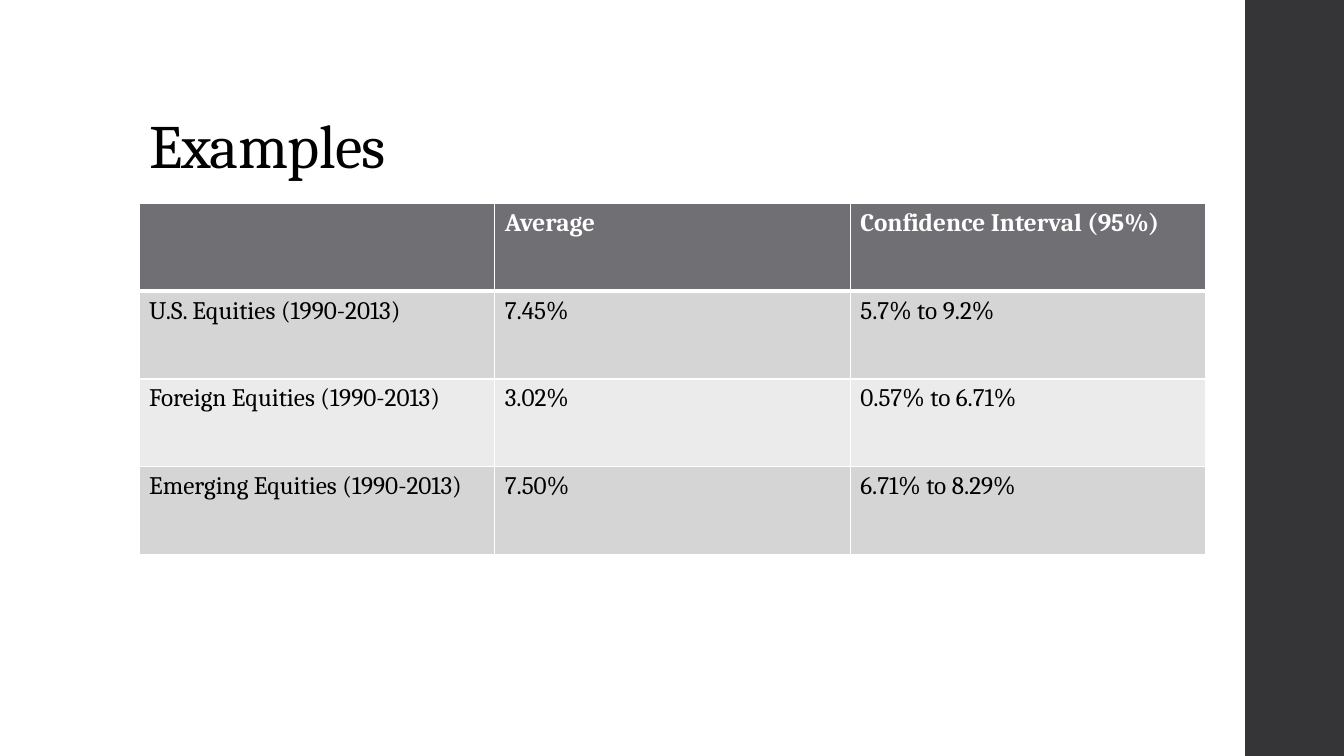
from dataclasses import dataclass

from lxml.etree import SubElement
from pptx import Presentation
from pptx.dml.color import RGBColor
from pptx.enum.shapes import MSO_SHAPE
from pptx.enum.text import MSO_ANCHOR, MSO_AUTO_SIZE, PP_ALIGN
from pptx.oxml.ns import qn
from pptx.util import Inches, Pt


@dataclass(frozen=True)
class Theme:
    font: str = "Cambria"
    ink: str = "000000"
    paper: str = "FFFFFF"
    band: str = "353537"
    header: str = "6F6F74"
    stripes: tuple = ("D5D5D6", "EBEBEB")
    title_size: float = 44
    table_size: float = 18
    rule: float = 1
    header_rule: float = 3


THEME = Theme()
PAGE_WIDTH, PAGE_HEIGHT = 13.33, 7.5
LEFT = 1.38
BAND_LEFT = 12.35
TABLE_TOP, TABLE_WIDTH = 2.02, 10.58
ROW_HEIGHT = 0.87
ROWS = [
    ("", "Average", "Confidence Interval (95%)"),
    ("U.S. Equities (1990-2013)", "7.45%", "5.7% to 9.2%"),
    ("Foreign Equities (1990-2013)", "3.02%", "0.57% to 6.71%"),
    ("Emerging Equities (1990-2013)", "7.50%", "6.71% to 8.29%"),
]


def paint(fill, color):
    fill.solid()
    fill.fore_color.rgb = RGBColor.from_string(color)


def write(frame, text, *, size, color, bold=False, line_spacing=None, tracking=None):
    para = frame.paragraphs[0]
    para.alignment = PP_ALIGN.LEFT
    if line_spacing:
        para.line_spacing = line_spacing
    span = para.add_run()
    span.text = text
    span.font.name = THEME.font
    span.font.size = Pt(size)
    span.font.bold = bold
    span.font.color.rgb = RGBColor.from_string(color)
    if tracking:
        span.font._element.set("spc", str(int(tracking * 100)))


def add_side_band(page):
    band = page.shapes.add_shape(
        MSO_SHAPE.RECTANGLE, Inches(BAND_LEFT), 0,
        Inches(PAGE_WIDTH - BAND_LEFT), Inches(PAGE_HEIGHT),
    )
    band.shadow.inherit = False
    paint(band.fill, THEME.band)
    band.line.fill.background()


def format_title(page, text):
    title = page.shapes.title
    title.left, title.top = Inches(LEFT), Inches(0.4)
    title.width, title.height = Inches(10.6), Inches(1.45)
    frame = title.text_frame
    frame.word_wrap = True
    frame.auto_size = MSO_AUTO_SIZE.NONE
    frame.vertical_anchor = MSO_ANCHOR.BOTTOM
    write(frame, text, size=THEME.title_size, color=THEME.ink,
          line_spacing=0.9, tracking=-0.5)


def add_borders(cell, **widths):
    properties = cell._tc.get_or_add_tcPr()
    for side, width in widths.items():
        line = SubElement(properties, qn(f"a:ln{side}"), w=str(Pt(width)))
        fill = SubElement(line, qn("a:solidFill"))
        SubElement(fill, qn("a:srgbClr"), val=THEME.paper)


def format_cell(cell, text, row):
    is_header = row == 0
    add_borders(
        cell, L=THEME.rule, R=THEME.rule,
        T=THEME.header_rule if row == 1 else THEME.rule,
        B=THEME.header_rule if is_header else THEME.rule,
    )
    paint(cell.fill, THEME.header if is_header else THEME.stripes[(row - 1) % 2])
    if text:
        write(cell.text_frame, text, size=THEME.table_size, bold=is_header,
              color=THEME.paper if is_header else THEME.ink)


def add_grid(page, rows):
    table = page.shapes.add_table(
        len(rows), len(rows[0]), Inches(LEFT), Inches(TABLE_TOP),
        Inches(TABLE_WIDTH), Inches(ROW_HEIGHT * len(rows)),
    ).table
    for row, texts in enumerate(rows):
        for column, text in enumerate(texts):
            format_cell(table.cell(row, column), text, row)


def main():
    deck = Presentation()
    deck.slide_width, deck.slide_height = Inches(PAGE_WIDTH), Inches(PAGE_HEIGHT)
    page = deck.slides.add_slide(deck.slide_layouts[5])
    paint(page.background.fill, THEME.paper)
    add_side_band(page)
    format_title(page, "Examples")
    add_grid(page, ROWS)
    deck.save("out.pptx")


if __name__ == "__main__":
    main()
